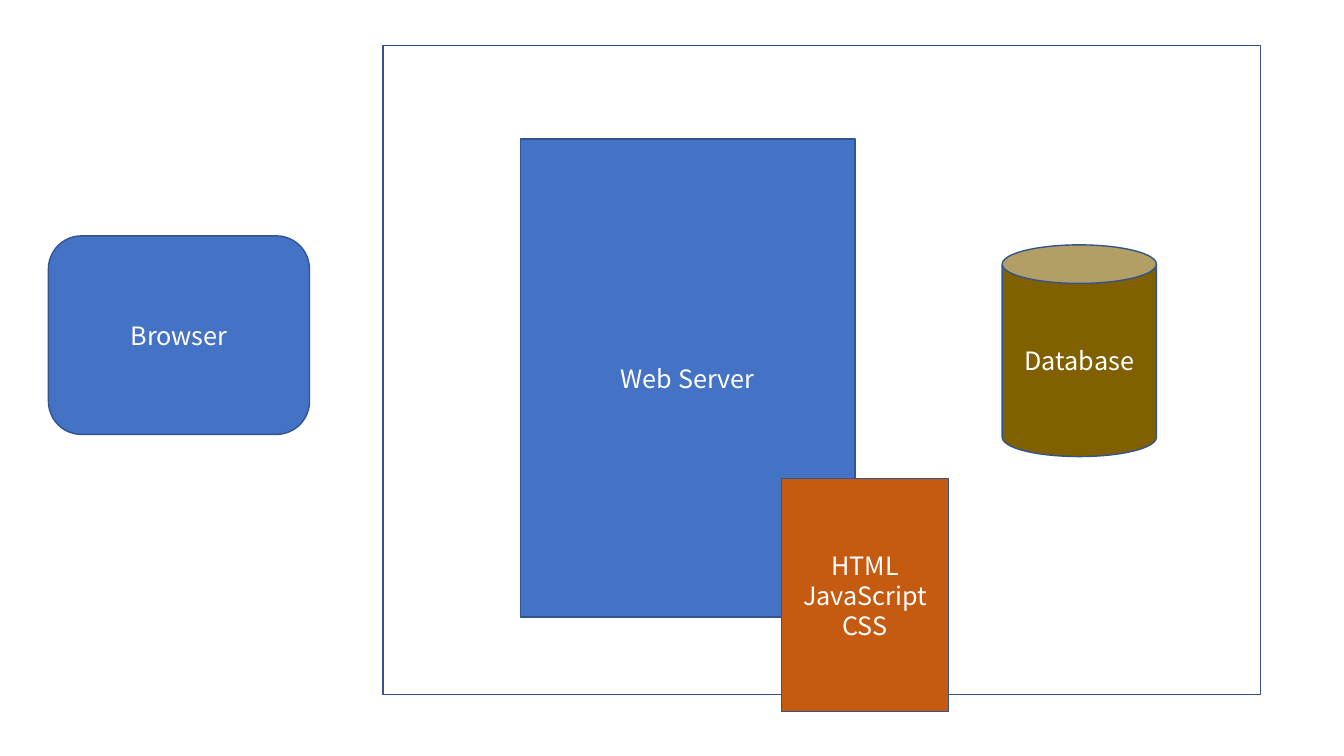
import pptx
import pptx.util
import pptx.dml.color
import pptx.enum.shapes
import pptx.enum.text

Inches, Pt = pptx.util.Inches, pptx.util.Pt
Kind = pptx.enum.shapes.MSO_SHAPE
RGB = pptx.dml.color.RGBColor.from_string

COLORS = {"blue": "4472C4", "brown": "806000", "orange": "C55A11",
          "edge": "325491", "white": "FFFFFF"}
FONT = {"name": "Noto Sans CJK KR", "size": Pt(18)}

# kind, (left, top, width, height), fill, lines of text; back to front
PARTS = [
    (Kind.RECTANGLE, (5.16, 1.38, 3.32, 4.74), "blue", ["Web Server"]),
    (Kind.CAN, (9.94, 2.43, 1.53, 2.1), "brown", ["Database"]),
    (Kind.ROUNDED_RECTANGLE, (0.48, 2.34, 2.59, 1.97), "blue", ["Browser"]),
    (Kind.RECTANGLE, (3.8, 0.45, 8.7, 6.44), None, []),
    (Kind.RECTANGLE, (7.75, 4.75, 1.66, 2.31), "orange",
     ["HTML", "JavaScript", "CSS"]),
]


def write(frame, lines):
    """Put centred white lines, one paragraph each, in a text frame."""
    frame.word_wrap = True
    frame.vertical_anchor = pptx.enum.text.MSO_ANCHOR.MIDDLE
    for i, text in enumerate(lines):
        para = frame.add_paragraph() if i else frame.paragraphs[0]
        para.alignment = pptx.enum.text.PP_ALIGN.CENTER
        run = para.add_run()
        run.text = text
        for key, value in FONT.items():
            setattr(run.font, key, value)
        run.font.color.rgb = RGB(COLORS["white"])


def draw(slide, kind, box, fill, lines):
    """Add one outlined part of the diagram."""
    shape = slide.shapes.add_shape(kind, *map(Inches, box))
    shape.shadow.inherit = False
    if fill:
        shape.fill.solid()
        shape.fill.fore_color.rgb = RGB(COLORS[fill])
    else:
        shape.fill.background()
    shape.line.color.rgb = RGB(COLORS["edge"])
    shape.line.width = Pt(1)
    write(shape.text_frame, lines)


deck = pptx.Presentation()
deck.slide_width, deck.slide_height = Inches(13.33), Inches(7.5)
slide = deck.slides.add_slide(deck.slide_layouts[6])
for part in PARTS:
    draw(slide, *part)
deck.save("out.pptx")
